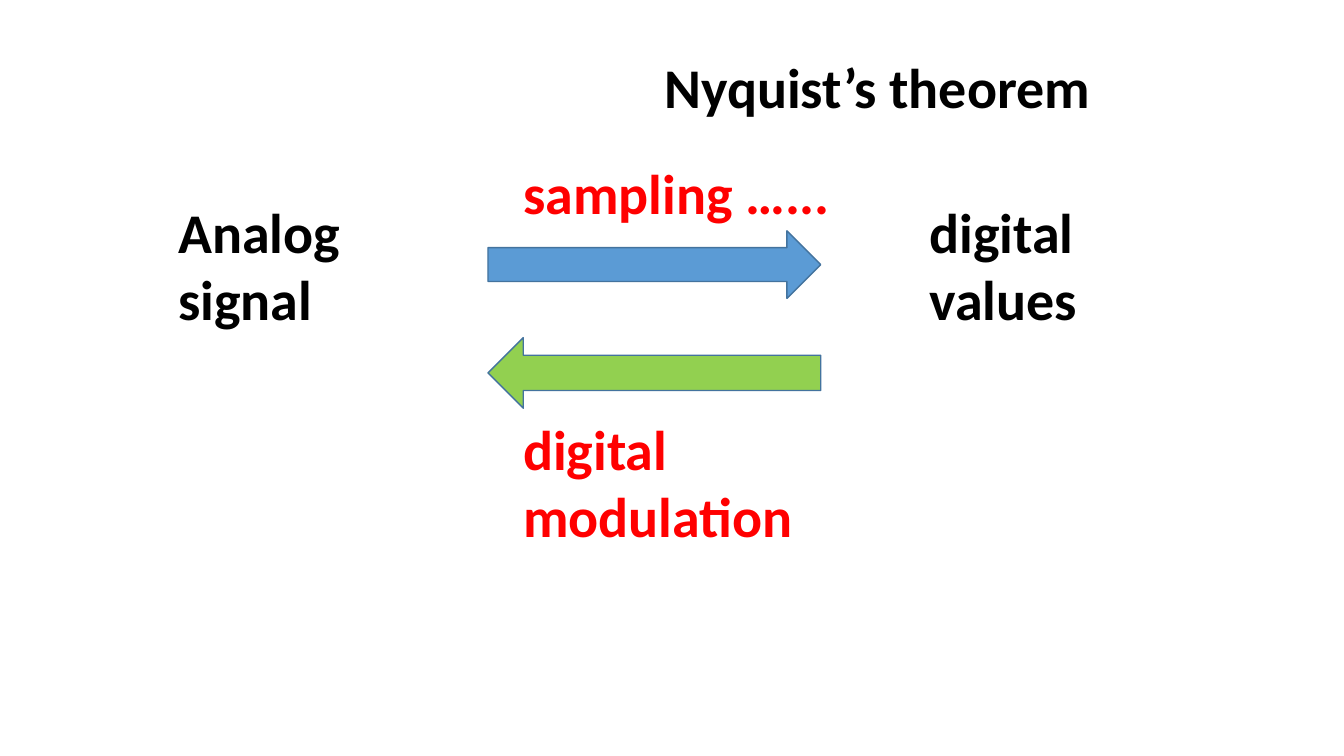
from pptx import Presentation
from pptx.dml.color import RGBColor
from pptx.enum.shapes import MSO_SHAPE
from pptx.enum.text import MSO_AUTO_SIZE
from pptx.util import Inches, Pt

COLORS = {
    "text": "000000",
    "process": "FF0000",
    "forward": "5B9BD5",
    "back": "92D050",
    "outline": "43739E",
}
FONT, TEXT_SIZE = "Calibri", 40
SLIDE_WIDTH, SLIDE_HEIGHT = 13.33, 7.5

# Columns as (left, width) and text heights by number of lines, in inches
COLUMNS = {
    "analog": (1.67, 2.19),
    "arrow": (4.84, 3.3),
    "process": (5.09, 3.53),
    "theorem": (6.49, 4.98),
    "digital": (9.12, 2.19),
}
LINE_HEIGHTS = {1: 0.77, 2: 1.45}
SIGNAL_TOP = 1.91

# text, column, top, lines, colour
LABELS = [
    ("Nyquist’s theorem", "theorem", 0.47, 1, "text"),
    ("Analog signal", "analog", SIGNAL_TOP, 2, "text"),
    ("digital values", "digital", SIGNAL_TOP, 2, "text"),
    ("sampling …...", "process", 1.52, 1, "process"),
    ("digital modulation", "process", 4.06, 2, "process"),
]
# preset, top, height, colour
ARROWS = [
    (MSO_SHAPE.RIGHT_ARROW, 2.29, 0.67, "forward"),
    (MSO_SHAPE.LEFT_ARROW, 3.35, 0.7, "back"),
]


def color(name):
    return RGBColor.from_string(COLORS[name])


def place(column, top, height):
    left, width = COLUMNS[column]
    return [Inches(length) for length in (left, top, width, height)]


def add_label(slide, text, column, top, lines, color_name):
    box = slide.shapes.add_textbox(*place(column, top, LINE_HEIGHTS[lines]))
    frame = box.text_frame
    frame.word_wrap = True
    frame.auto_size = MSO_AUTO_SIZE.SHAPE_TO_FIT_TEXT
    run = frame.paragraphs[0].add_run()
    run.text = text
    run.font.name = FONT
    run.font.size = Pt(TEXT_SIZE)
    run.font.bold = True
    run.font.color.rgb = color(color_name)


def add_arrow(slide, preset, top, height, color_name):
    arrow = slide.shapes.add_shape(preset, *place("arrow", top, height))
    arrow.shadow.inherit = False
    arrow.fill.solid()
    arrow.fill.fore_color.rgb = color(color_name)
    arrow.line.color.rgb = color("outline")
    arrow.line.width = Pt(1)


def main():
    presentation = Presentation()
    presentation.slide_width = Inches(SLIDE_WIDTH)
    presentation.slide_height = Inches(SLIDE_HEIGHT)
    slide = presentation.slides.add_slide(presentation.slide_layouts[6])
    for arrow in ARROWS:
        add_arrow(slide, *arrow)
    for label in LABELS:
        add_label(slide, *label)
    presentation.save("out.pptx")


if __name__ == "__main__":
    main()
